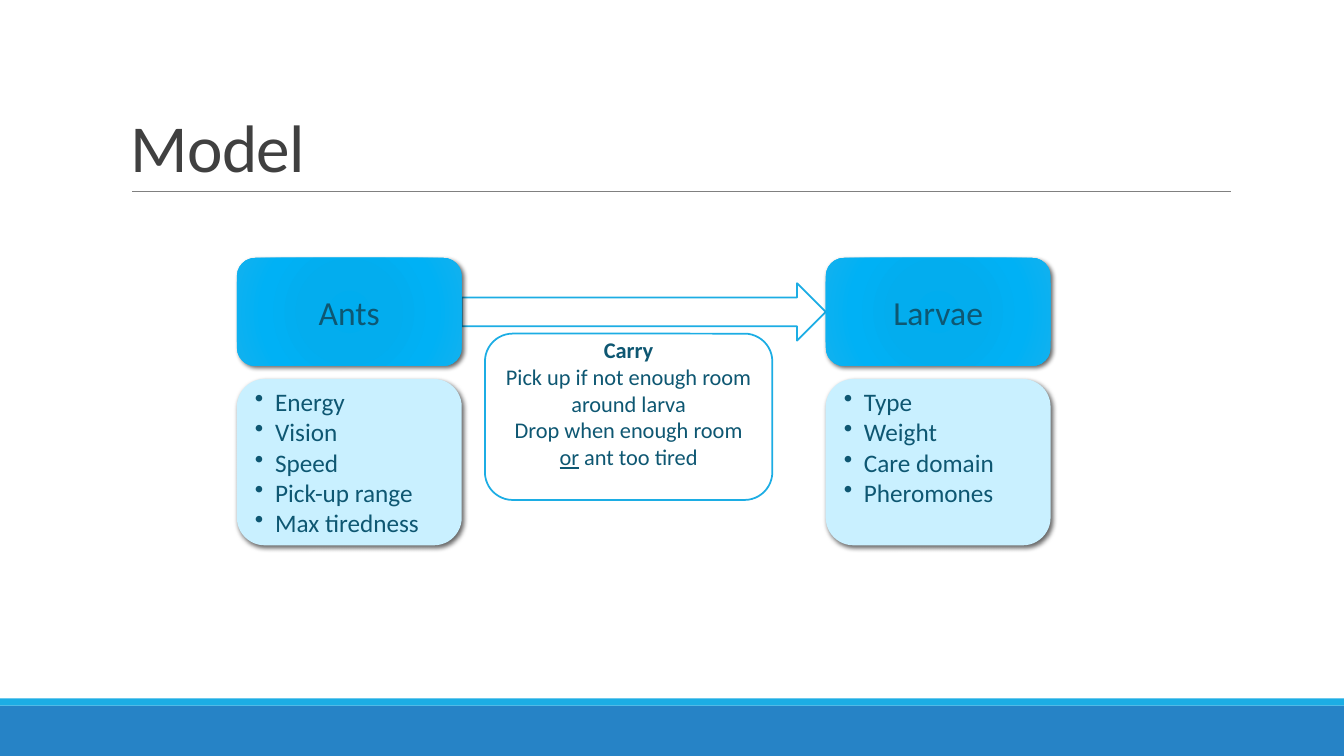
from lxml import etree
from pptx import Presentation
from pptx import util as u
from pptx.dml.color import RGBColor
from pptx.enum import shapes, text
from pptx.oxml.ns import qn

SLIDE_W, SLIDE_H = 13.33, 7.5
FONT = "Calibri"
WHITE = RGBColor(0xFF, 0xFF, 0xFF)
CYAN = RGBColor(0x1C, 0xAD, 0xE4)
BLUE = RGBColor(0x26, 0x83, 0xC6)
PALE = RGBColor(0xC9, 0xF0, 0xFF)
INK = RGBColor(0x0E, 0x57, 0x72)
TITLE_INK = RGBColor(0x40, 0x40, 0x40)
RULE_GREY = RGBColor(0x80, 0x80, 0x80)
GLOW = [(0, RGBColor(0x00, 0xAD, 0xEF)), (34, RGBColor(0x03, 0xAD, 0xEE)),
        (70, RGBColor(0x00, 0xB1, 0xF5)), (100, RGBColor(0x12, 0xB1, 0xEE))]

TITLE = "Model"
AGENTS = [
    ("Ants", ["Energy", "Vision", "Speed", "Pick-up range", "Max tiredness"]),
    ("Larvae", ["Type", "Weight", "Care domain", "Pheromones"]),
]
CARRY = [
    [("Carry", "bold")],
    [("Pick up if not enough room around larva", "")],
    [("Drop when enough room ", ""), ("or", "underline"), (" ant too tired", "")],
]

CARD_X, CARD_W, CARD_STEP = 2.35, 2.23, 5.84
HEAD_Y, HEAD_H = 2.56, 1.07
LIST_Y, LIST_H = 3.76, 1.65
LIST_ROWS, LIST_ROW_H = 5, 0.3
CARRY_ROW_H = 0.27
ARROW_H = 0.57
BAND_Y = 7

deck = Presentation()
deck.slide_width, deck.slide_height = u.Inches(SLIDE_W), u.Inches(SLIDE_H)
page = deck.slides.add_slide(deck.slide_layouts[6])


def add_node(parent, tag, **attributes):
    return etree.SubElement(parent, qn(tag), {k: str(v) for k, v in attributes.items()})


def add_box(kind, x, y, w, h, fill=None, line=None):
    box = page.shapes.add_shape(kind, *map(u.Inches, (x, y, w, h)))
    box.shadow.inherit = False
    if fill is None:
        box.fill.background()
    else:
        box.fill.solid()
        box.fill.fore_color.rgb = fill
    if line is None:
        box.line.fill.background()
    else:
        box.line.color.rgb = line
        box.line.width = u.Pt(1.25)
    return box


def cast_shadow(box):
    effects = box._element.spPr.find(qn("a:effectLst"))
    shadow = add_node(effects, "a:outerShdw", blurRad=u.Pt(3.5), dist=u.Pt(2),
                      dir=45 * 60000, algn="tl", rotWithShape=0)
    color = add_node(shadow, "a:srgbClr", val="000000")
    add_node(color, "a:alpha", val=60000)


def fill_glow(box):
    properties = box._element.spPr
    glow = etree.Element(qn("a:gradFill"), rotWithShape="1")
    stops = add_node(glow, "a:gsLst")
    for share, color in GLOW:
        stop = add_node(stops, "a:gs", pos=share * 1000)
        add_node(stop, "a:srgbClr", val=color)
    center = add_node(glow, "a:path", path="circle")
    add_node(center, "a:fillToRect", l=100000, t=100000, r=100000, b=100000)
    properties.replace(properties.find(qn("a:noFill")), glow)


def write(box, paragraphs, size, color=INK, align=text.PP_ALIGN.CENTER,
          anchor=text.MSO_ANCHOR.MIDDLE, spare=0):
    frame = box.text_frame
    frame.word_wrap = True
    frame.vertical_anchor = anchor
    frame.margin_bottom = u.Inches(0.05 + spare)
    for index, spans in enumerate(paragraphs):
        para = frame.paragraphs[0] if index == 0 else frame.add_paragraph()
        para.alignment = align
        para.font.name, para.font.size = FONT, u.Pt(size)
        para.font.color.rgb = color
        for words, style in spans:
            span = para.add_run()
            span.text = words
            if style:
                setattr(span.font, style, True)
    return frame.paragraphs


def add_bullet(para):
    properties = para._p.get_or_add_pPr()
    properties.set("marL", str(u.Inches(0.2)))
    properties.set("indent", str(-u.Inches(0.2)))
    bullet = etree.Element(qn("a:buChar"), char="•")
    properties.insert(0, bullet)


RECT = shapes.MSO_SHAPE.RECTANGLE
ROUND = shapes.MSO_SHAPE.ROUNDED_RECTANGLE

add_box(RECT, 0, BAND_Y, SLIDE_W, SLIDE_H - BAND_Y, BLUE)
add_box(RECT, 0, BAND_Y - 0.07, SLIDE_W, 0.07, CYAN)

rule = page.shapes.add_connector(shapes.MSO_CONNECTOR.STRAIGHT,
                                 *map(u.Inches, (1.31, 1.9, 12.21, 1.9)))
rule.line.color.rgb = RULE_GREY
rule.line.width = u.Pt(0.5)
add_node(rule._element.spPr, "a:effectLst")

add_box(shapes.MSO_SHAPE.RIGHT_ARROW, CARD_X + CARD_W, HEAD_Y + (HEAD_H - ARROW_H) / 2,
        CARD_STEP - CARD_W, ARROW_H, WHITE, CYAN)

title = page.shapes.add_textbox(*map(u.Inches, (1.2, 0.31, 11, 1.59)))
heading = write(title, [[(TITLE, "")]], 48, TITLE_INK, text.PP_ALIGN.LEFT,
                text.MSO_ANCHOR.BOTTOM)[0]
heading.line_spacing = 0.85
heading.runs[0].font._element.set("spc", "-50")

for column, (name, traits) in enumerate(AGENTS):
    x = CARD_X + column * CARD_STEP
    head = add_box(ROUND, x, HEAD_Y, CARD_W, HEAD_H)
    fill_glow(head)
    cast_shadow(head)
    write(head, [[(name, "")]], 24)

    card = add_box(ROUND, x, LIST_Y, CARD_W, LIST_H, PALE)
    cast_shadow(card)
    spare = (LIST_ROWS - len(traits)) * LIST_ROW_H
    for para in write(card, [[(trait, "")] for trait in traits], 18,
                      align=text.PP_ALIGN.LEFT, spare=spare):
        add_bullet(para)

carry = add_box(ROUND, 4.81, 3.31, 2.85, LIST_H, WHITE, CYAN)
write(carry, CARRY, 16, spare=CARRY_ROW_H)

deck.save("out.pptx")
